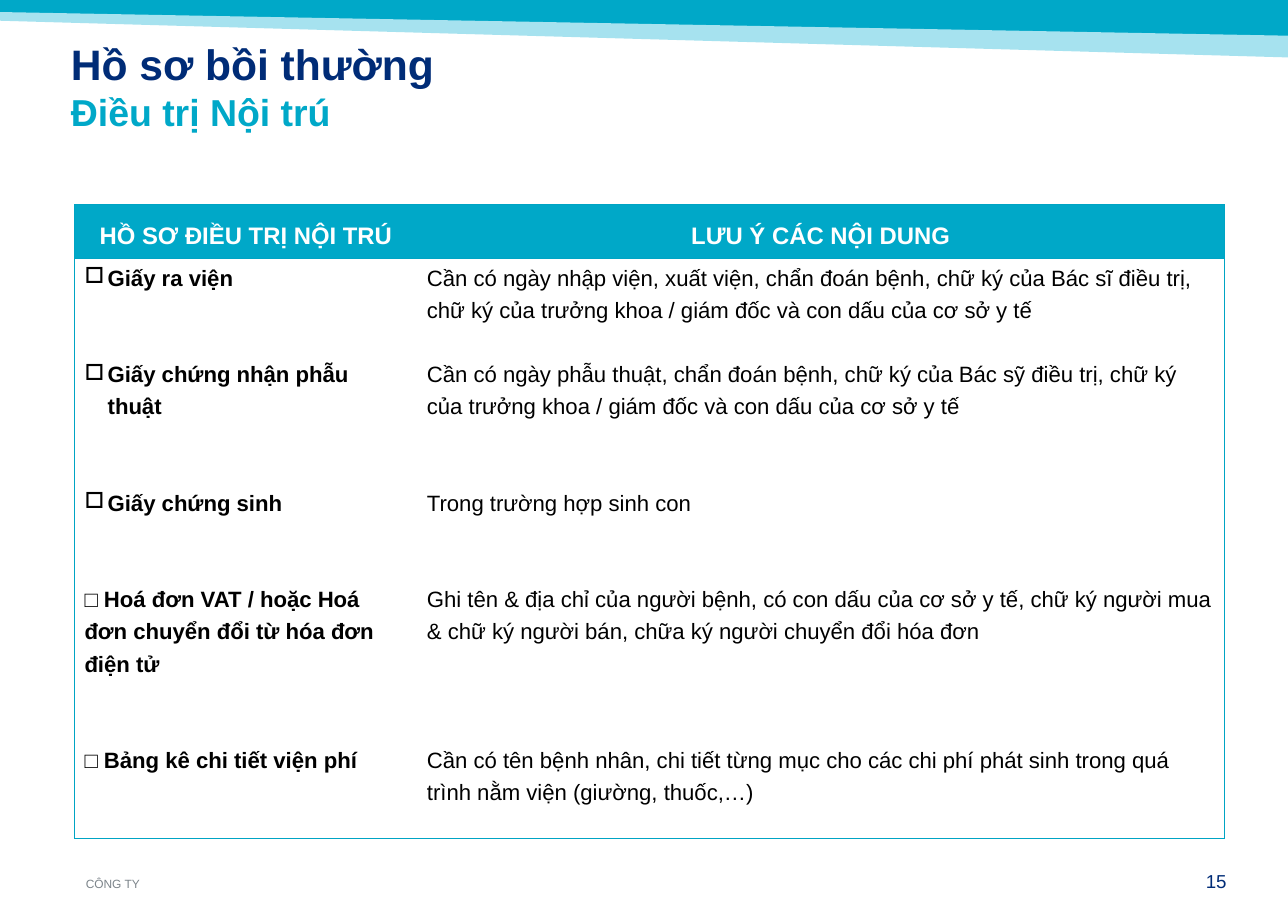
from dataclasses import dataclass

from lxml import etree
from pptx import Presentation
from pptx import util as u
from pptx.dml.color import RGBColor
from pptx.enum import text
from pptx.oxml.ns import qn

COLORS = {
    "navy": "002C77",
    "teal": "00A8C8",
    "pale": "A6E2EF",
    "border": "00A4C4",
    "gray": "7C848A",
    "black": "000000",
    "white": "FFFFFF",
}
FONT = "Arial"
LEFT, CENTER, RIGHT = text.PP_ALIGN.LEFT, text.PP_ALIGN.CENTER, text.PP_ALIGN.RIGHT
TOP, MIDDLE, BOTTOM = (text.MSO_ANCHOR.TOP, text.MSO_ANCHOR.MIDDLE,
                       text.MSO_ANCHOR.BOTTOM)
LINE_POINTS = 18.9  # height of one 13 pt table line
SLIDE_WIDTH, SLIDE_HEIGHT = 26.67, 19.05


@dataclass
class Line:
    words: str
    size: float
    color: str
    bold: bool = False
    align: text.PP_ALIGN = LEFT
    spacing: float = 1.0
    gap_lines: int = 0
    bullet: bool = False


@dataclass
class Label:
    box: tuple[float, float, float, float]
    lines: list[Line]
    anchor: text.MSO_ANCHOR = TOP
    margins: tuple[float, float] = (0, 0)
    wrap: bool = True


@dataclass
class Band:
    color: str
    points: list[tuple[float, float]]


@dataclass
class Cell:
    lines: list[Line]
    fill: str
    anchor: text.MSO_ANCHOR
    edges: str  # letters of the sides that carry a border


def rgb(name: str) -> RGBColor:
    return RGBColor.from_string(COLORS[name])


def write_lines(frame, lines: list[Line]) -> None:
    for index, line in enumerate(lines):
        paragraph = frame.paragraphs[0] if index == 0 else frame.add_paragraph()
        paragraph.alignment = line.align
        paragraph.line_spacing = line.spacing
        if line.gap_lines:
            paragraph.space_before = u.Pt(line.gap_lines * LINE_POINTS)
        if line.bullet:
            properties = paragraph._p.get_or_add_pPr()
            properties.set("marL", str(u.Cm(0.48)))
            properties.set("indent", str(u.Cm(-0.48)))
            etree.SubElement(properties, qn("a:buChar"), char="□")
        run = paragraph.add_run()
        run.text = line.words
        run.font.name = FONT
        run.font.size = u.Pt(line.size)
        run.font.bold = line.bold
        run.font.color.rgb = rgb(line.color)


def draw_band(slide, band: Band) -> None:
    points = [(u.Cm(x), u.Cm(y)) for x, y in band.points]
    builder = slide.shapes.build_freeform(*points[0])
    builder.add_line_segments(points[1:], close=True)
    shape = builder.convert_to_shape()
    shape.shadow.inherit = False
    shape.fill.solid()
    shape.fill.fore_color.rgb = rgb(band.color)
    shape.line.fill.background()


def draw_label(slide, label: Label) -> None:
    frame = slide.shapes.add_textbox(*map(u.Cm, label.box)).text_frame
    frame.word_wrap = label.wrap
    frame.vertical_anchor = label.anchor
    frame.margin_left = frame.margin_right = u.Cm(label.margins[0])
    frame.margin_top = frame.margin_bottom = u.Cm(label.margins[1])
    write_lines(frame, label.lines)


def draw_cell(target, cell: Cell) -> None:
    properties = target._tc.get_or_add_tcPr()
    for side in "LRTB":
        border = etree.SubElement(properties, qn(f"a:ln{side}"), w=str(u.Pt(0.75)))
        if side in cell.edges:
            fill = etree.SubElement(border, qn("a:solidFill"))
            etree.SubElement(fill, qn("a:srgbClr"), val=COLORS["border"])
        else:
            etree.SubElement(border, qn("a:noFill"))
    target.fill.solid()
    target.fill.fore_color.rgb = rgb(cell.fill)
    target.vertical_anchor = cell.anchor
    target.margin_left = target.margin_right = u.Cm(0.2)
    target.margin_top = target.margin_bottom = 0
    write_lines(target.text_frame, cell.lines)


def draw_table(slide, rows: list[list[Cell]]) -> None:
    widths, heights = (7.09, 16.71), (1.12, 12.01)
    frame = slide.shapes.add_table(len(heights), len(widths), u.Cm(1.55), u.Cm(4.24),
                                   u.Cm(sum(widths)), u.Cm(sum(heights)))
    table = frame.table
    table.first_row = table.horz_banding = False
    for column, width in zip(table.columns, widths):
        column.width = u.Cm(width)
    for row, height in zip(table.rows, heights):
        row.height = u.Cm(height)
    for row_index, cells in enumerate(rows):
        for column_index, cell in enumerate(cells):
            draw_cell(table.cell(row_index, column_index), cell)


def heading(words: str) -> list[Line]:
    return [Line(words, 14, "white", True, CENTER, 1.3)]


def document(words: str, gap_lines: int = 2, bullet: bool = False) -> Line:
    return Line(words, 13, "black", True, LEFT, 1.3, gap_lines, bullet)


def note(words: str, gap_lines: int) -> Line:
    return Line(words, 13, "black", False, LEFT, 1.3, gap_lines)


BANDS = [
    Band("teal", [(0, 0), (SLIDE_WIDTH, 0), (SLIDE_WIDTH, 0.81), (0, 0.3)]),
    Band("pale", [(0, 0.25), (SLIDE_WIDTH, 0.74), (SLIDE_WIDTH, 1.19), (0, 0.43)]),
]

LABELS = [
    Label((1.22, 0.66, 24.13, 2.18),
          [Line("Hồ sơ bồi thường", 25, "navy", True),
           Line("Điều trị Nội trú", 22, "teal", True)], margins=(0.25, 0.13)),
    Label((1.78, 18.16, 8.03, 0.28), [Line("CÔNG TY", 7, "gray")], BOTTOM, wrap=False),
    Label((24.16, 18.01, 1.24, 0.46), [Line("15", 11, "navy", align=RIGHT)]),
]

DOCUMENTS = [
    document("Giấy ra viện", 0, True),
    document("Giấy chứng nhận phẫu thuật", bullet=True),
    document("Giấy chứng sinh", bullet=True),
    document("□ Hoá đơn VAT / hoặc Hoá đơn chuyển đổi từ hóa đơn điện tử"),
    document("□ Bảng kê chi tiết viện phí"),
]

NOTES = [
    note("Cần có ngày nhập viện, xuất viện, chẩn đoán bệnh, chữ ký của Bác sĩ điều trị, "
         "chữ ký của trưởng khoa / giám đốc và con dấu của cơ sở y tế", 0),
    note("Cần có ngày phẫu thuật, chẩn đoán bệnh, chữ ký của Bác sỹ điều trị, chữ ký "
         "của trưởng khoa / giám đốc và con dấu của cơ sở y tế", 1),
    note("Trong trường hợp sinh con", 2),
    note("Ghi tên & địa chỉ của người bệnh, có con dấu của cơ sở y tế, chữ ký người mua "
         "& chữ ký người bán, chữa ký người chuyển đổi hóa đơn", 2),
    note("Cần có tên bệnh nhân, chi tiết từng mục cho các chi phí phát sinh trong quá "
         "trình nằm viện (giường, thuốc,…)", 3),
]

TABLE_ROWS = [
    [Cell(heading("HỒ SƠ ĐIỀU TRỊ NỘI TRÚ"), "teal", MIDDLE, "LTB"),
     Cell(heading("LƯU Ý CÁC NỘI DUNG"), "teal", MIDDLE, "RTB")],
    [Cell(DOCUMENTS, "white", TOP, "LTB"), Cell(NOTES, "white", TOP, "RTB")],
]


def main() -> None:
    presentation = Presentation()
    presentation.slide_width = u.Cm(SLIDE_WIDTH)
    presentation.slide_height = u.Cm(SLIDE_HEIGHT)
    slide = presentation.slides.add_slide(presentation.slide_layouts[6])
    # Top bands
    for band in BANDS:
        draw_band(slide, band)
    # Claim documents
    draw_table(slide, TABLE_ROWS)
    # Title and footer
    for label in LABELS:
        draw_label(slide, label)
    presentation.save("out.pptx")


if __name__ == "__main__":
    main()
